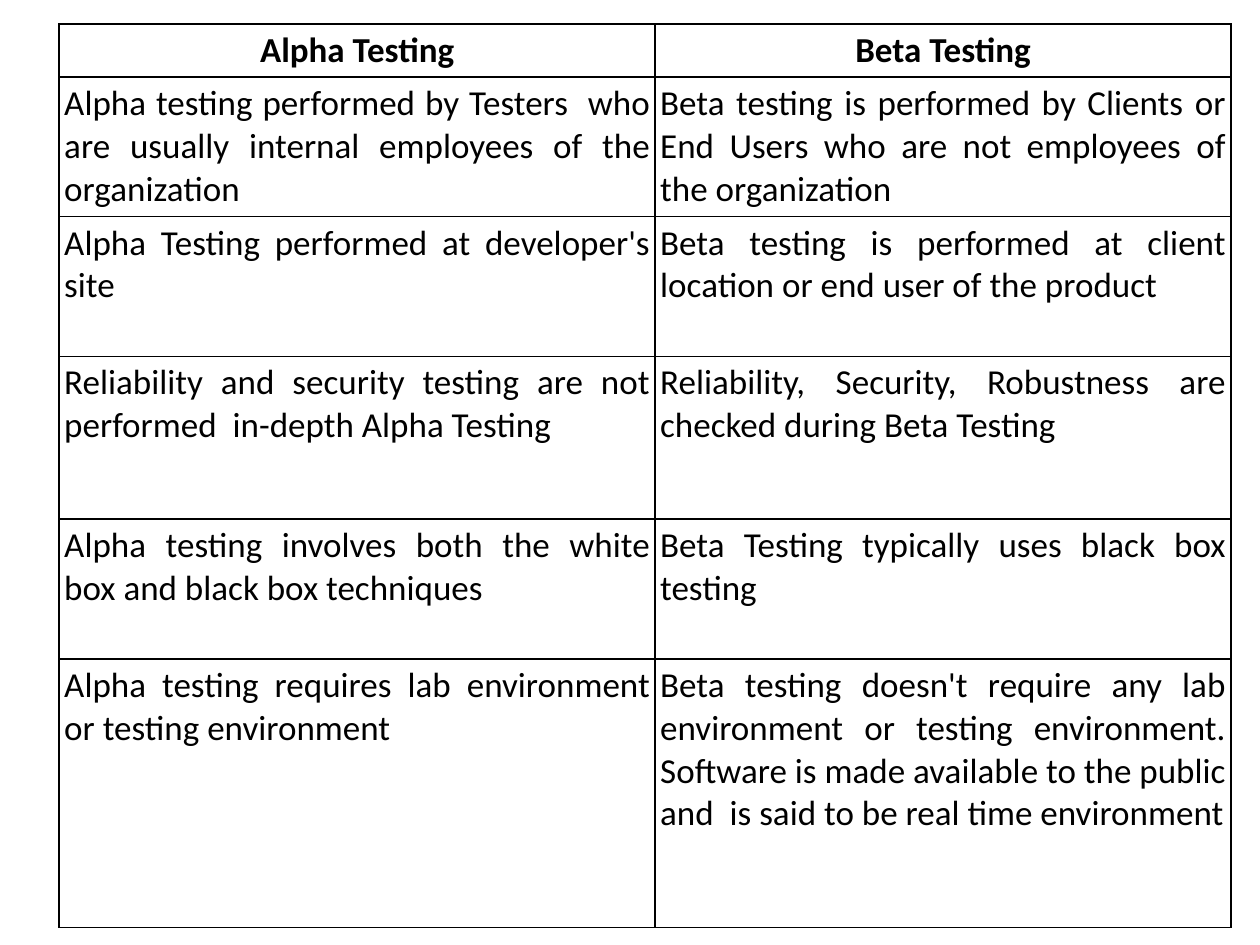
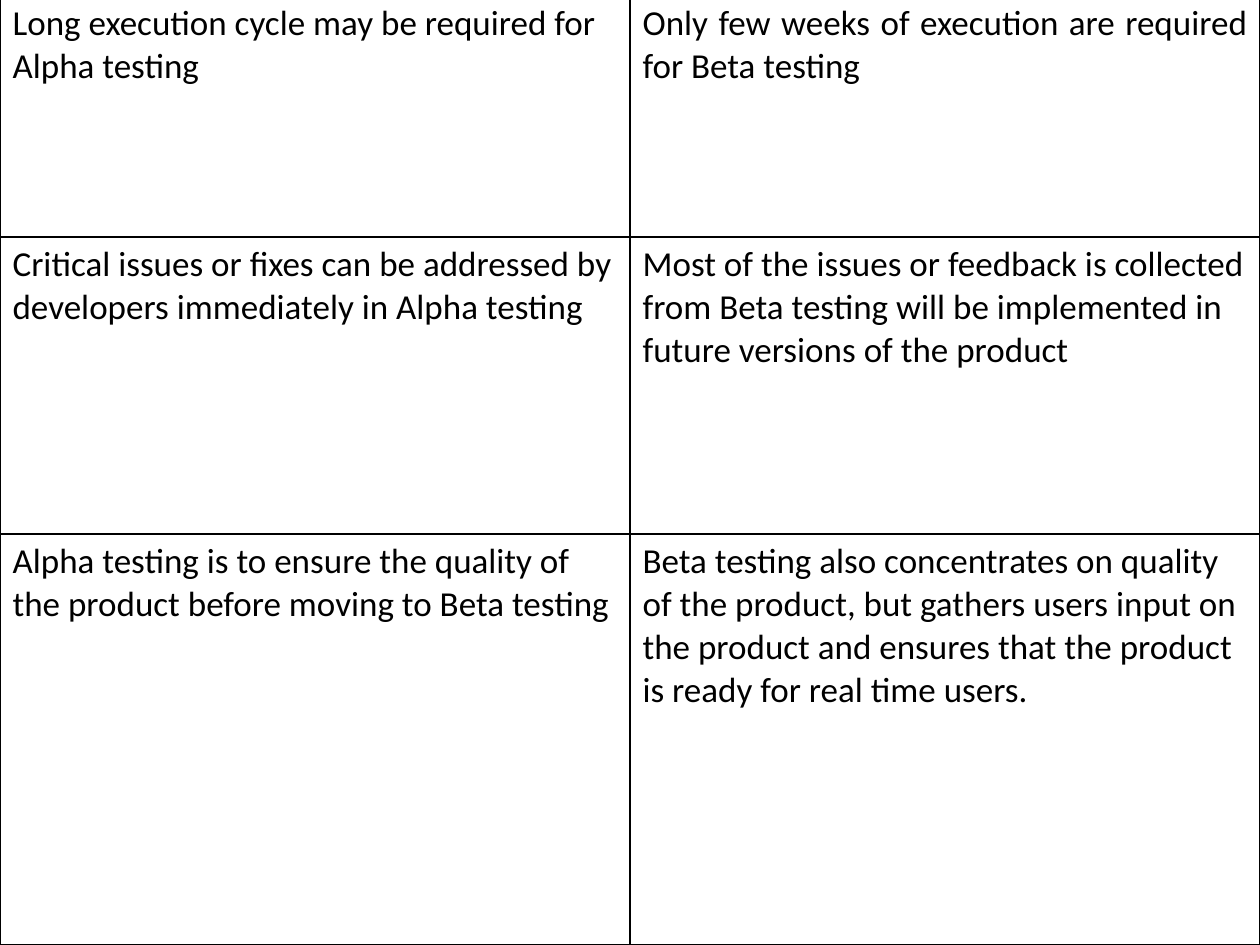
from lxml.etree import SubElement
from pptx import Presentation
from pptx.dml.color import RGBColor
from pptx.enum.text import PP_ALIGN
from pptx.oxml.ns import qn
from pptx.util import Inches, Pt

BLACK = RGBColor(0x00, 0x00, 0x00)
WHITE = RGBColor(0xFF, 0xFF, 0xFF)
LEFT, CENTER, JUSTIFY = PP_ALIGN.LEFT, PP_ALIGN.CENTER, PP_ALIGN.JUSTIFY

HEADINGS = ("Alpha Testing", "Beta Testing")
MAIN_DIFFERENCES = [
    ("Alpha testing performed by Testers  who are usually internal employees of the organization",
     "Beta testing is performed by Clients or End Users who are not employees of the organization"),
    ("Alpha Testing performed at developer's site",
     "Beta testing is performed at client location or end user of the product"),
    ("Reliability and security testing are not performed  in-depth Alpha Testing",
     "Reliability, Security, Robustness are checked during Beta Testing"),
    ("Alpha testing involves both the white box and black box techniques",
     "Beta Testing typically uses black box testing"),
    ("Alpha testing requires lab environment or testing environment",
     "Beta testing doesn't require any lab environment or testing environment. "
     "Software is made available to the public and  is said to be real time environment"),
]
FURTHER_DIFFERENCES = [
    ("Long execution cycle may be required for Alpha testing",
     "Only few weeks of execution are required for Beta testing"),
    ("Critical issues or fixes can be addressed by developers immediately in Alpha testing",
     "Most of the issues or feedback is collected from Beta testing will be implemented in "
     "future versions of the product"),
    ("Alpha testing is to ensure the quality of the product before moving to Beta testing",
     "Beta testing also concentrates on quality of the product, but gathers users input on "
     "the product and ensures that the product is ready for real time users."),
]


class ComparisonDeck:
    """Holds the shared text and border style and the current page."""

    font_name = "Calibri"
    font_size = Pt(20)
    border_width = Pt(1)

    def __init__(self):
        self.deck = Presentation()
        self.deck.slide_width = Inches(10)
        self.deck.slide_height = Inches(7.5)
        self.page = None

    def add_page(self):
        self.page = self.deck.slides.add_slide(self.deck.slide_layouts[6])

    def add_table(self, left, top, widths, heights, texts):
        frame = self.page.shapes.add_table(
            len(heights), len(widths), Inches(left), Inches(top),
            Inches(sum(widths)), Inches(sum(heights)))
        table = frame.table
        table.first_row = table.horz_banding = False
        for column, width in zip(table.columns, widths):
            column.width = Inches(width)
        for row, height, row_texts in zip(table.rows, heights, texts):
            row.height = Inches(height)
            for cell, text in zip(row.cells, row_texts):
                self.fill_cell(cell, text)
        return table

    def fill_cell(self, cell, text):
        self.add_borders(cell)
        cell.fill.solid()
        cell.fill.fore_color.rgb = WHITE
        cell.text_frame.text = text
        font = cell.text_frame.paragraphs[0].runs[0].font
        font.name, font.size, font.bold = self.font_name, self.font_size, False
        font.color.rgb = BLACK

    def add_borders(self, cell):
        properties = cell._tc.get_or_add_tcPr()
        for side in ("a:lnL", "a:lnR", "a:lnT", "a:lnB"):
            line = SubElement(properties, qn(side), w=str(self.border_width))
            fill = SubElement(line, qn("a:solidFill"))
            SubElement(fill, qn("a:srgbClr"), val=str(BLACK))

    def align(self, cells, alignment, bold=False):
        for cell in cells:
            paragraph = cell.text_frame.paragraphs[0]
            paragraph.alignment = alignment
            paragraph.runs[0].font.bold = bold

    def set_margins(self, table, margin):
        for cell in table.iter_cells():
            cell.margin_left = cell.margin_right = Inches(margin)
            cell.margin_top = cell.margin_bottom = Inches(margin)


def main():
    comparison = ComparisonDeck()

    # Headed table with tight margins
    comparison.add_page()
    table = comparison.add_table(
        0.47, 0.19, (4.73, 4.57), (0.42, 1.11, 1.11, 1.29, 1.11, 2.13),
        [HEADINGS, *MAIN_DIFFERENCES])
    comparison.set_margins(table, 0.04)
    comparison.align(table.iter_cells(), JUSTIFY)
    comparison.align(table.rows[0].cells, CENTER, bold=True)

    # Continuation table across the whole page
    comparison.add_page()
    table = comparison.add_table(
        0, -0.03, (5, 5), (1.91, 2.36, 3.26), FURTHER_DIFFERENCES)
    comparison.align(table.iter_cells(), LEFT)
    comparison.align([table.cell(0, 1)], JUSTIFY)

    comparison.deck.save("out.pptx")


if __name__ == "__main__":
    main()
